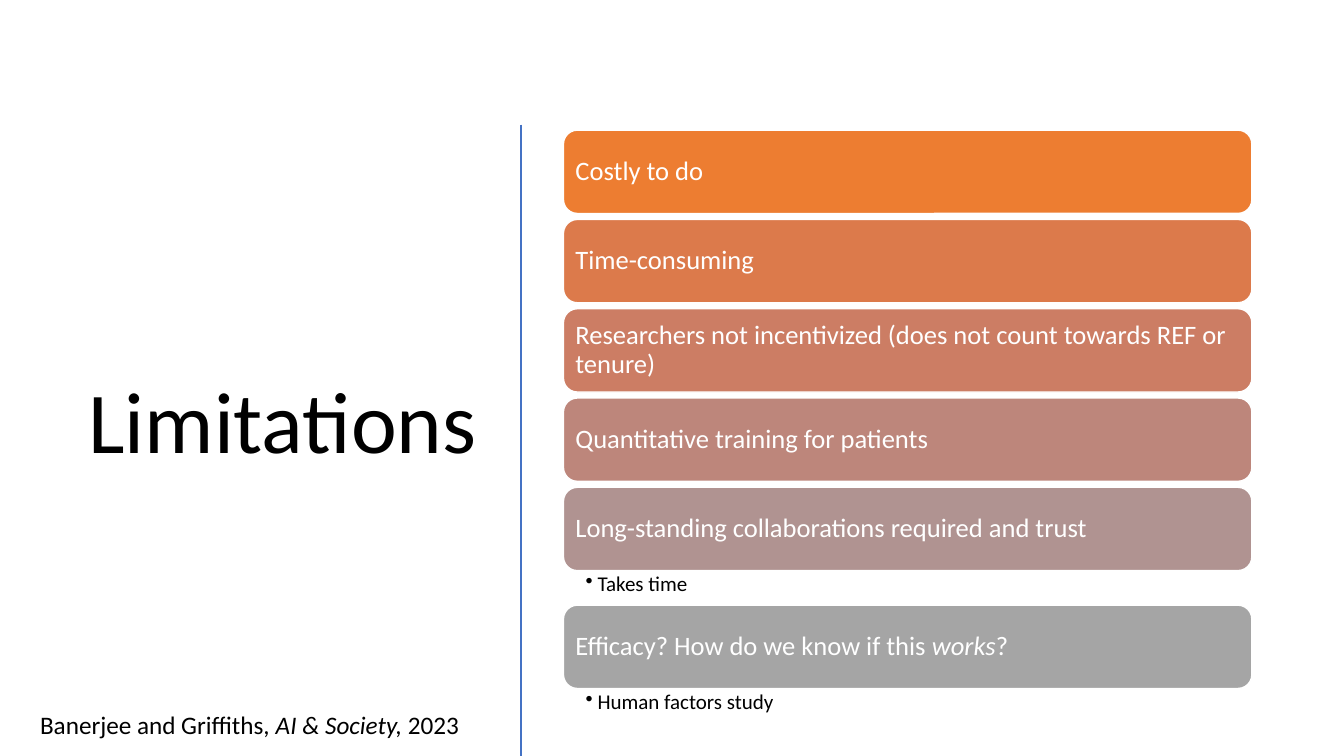
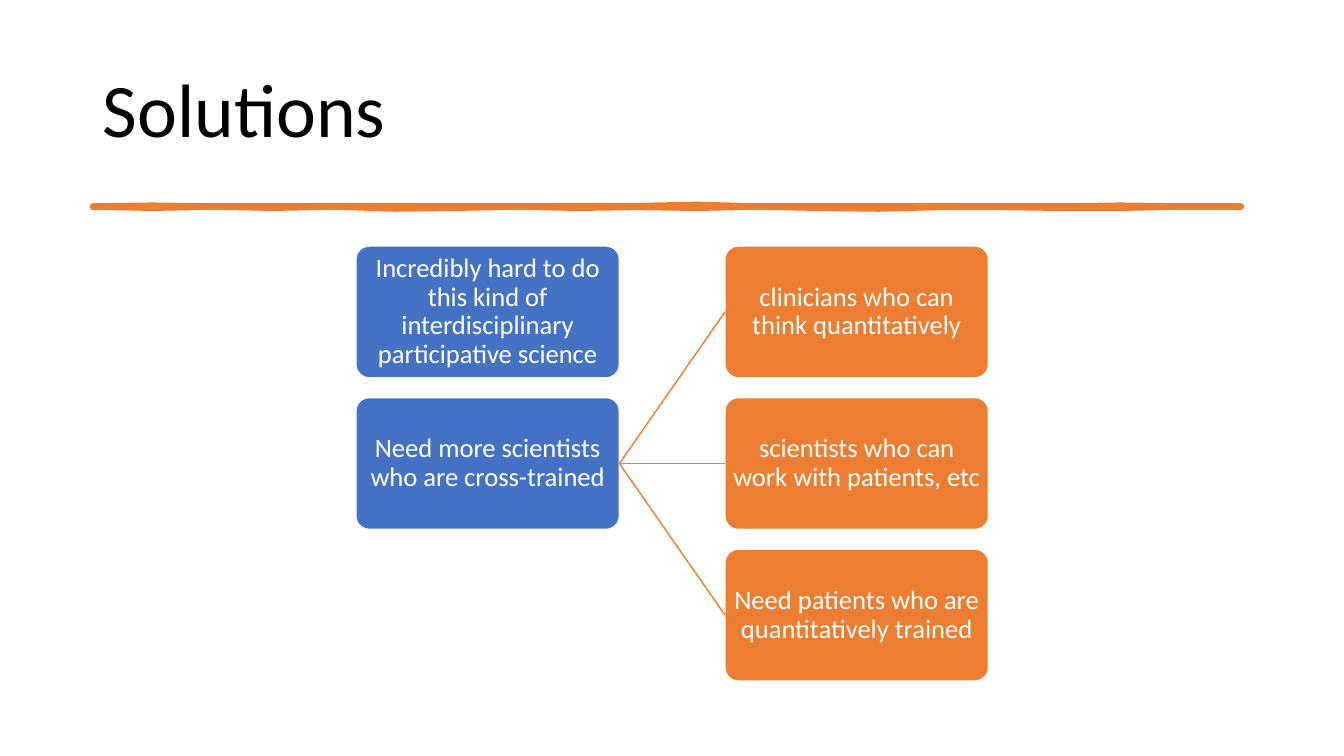
import pptx
import pptx.util
import pptx.dml.color
import pptx.enum.text
import pptx.enum.shapes
import pptx.oxml.ns
import lxml.etree

Cm = pptx.util.Cm
Pt = pptx.util.Pt
RGB = pptx.dml.color.RGBColor
Align = pptx.enum.text.PP_ALIGN
Anchor = pptx.enum.text.MSO_ANCHOR
Kind = pptx.enum.shapes.MSO_SHAPE

BLACK = RGB(0x00, 0x00, 0x00)
WHITE = RGB(0xFF, 0xFF, 0xFF)
BLUE = RGB(0x44, 0x72, 0xC4)
ORANGE = RGB(0xED, 0x7D, 0x31)
FADE = [ORANGE, RGB(0xDC, 0x7A, 0x4B), RGB(0xCC, 0x7D, 0x64),
        RGB(0xBD, 0x86, 0x7B), RGB(0xB0, 0x93, 0x91), RGB(0xA5, 0xA5, 0xA5)]

LIMITS = [
    ("Costly to do", None),
    ("Time-consuming", None),
    ("Researchers not incentivized (does not count towards REF or tenure)", None),
    ("Quantitative training for patients", None),
    ("Long-standing collaborations required and trust", "Takes time"),
    ("Efficacy? How do we know if this *works*?", "Human factors study"),
]
NEEDS = ["Incredibly hard to do this kind of interdisciplinary participative science",
         "Need more scientists who are cross-trained"]
PEOPLE = ["clinicians who can think quantitatively",
          "scientists who can work with patients, etc",
          "Need patients who are quantitatively trained"]

# Edges of the brush stroke, in hundredths of a centimetre
UPPER = [0, -2, 0, 0, -1, -1, 0, 0, -1, -1, -4, 0, 0, 0, -1, 0, 0, -2, 0, 0]
LOWER = [5, 8, 5, 8, 5, 10, 8, 5, 8, 6, 8, 5, 8, 10, 6, 6, 8, 8, 5, 5]


def put(item, values):
    for name, value in values.items():
        setattr(item, name, value)


def node(parent, tag, **attrs):
    return lxml.etree.SubElement(parent, pptx.oxml.ns.qn(tag), attrs)


class Deck:
    font = "Calibri"
    plain = {"word_wrap": True, "auto_size": pptx.enum.text.MSO_AUTO_SIZE.NONE}

    def __init__(self):
        self.file = pptx.Presentation()
        put(self.file, {"slide_width": Cm(33.87), "slide_height": Cm(19.05)})
        self.slide = None

    def say(self, frame, text, size, color=BLACK, align=Align.LEFT, space=0.9, **style):
        """Fill a frame with one paragraph; asterisks enclose italics."""
        put(frame, {**self.plain, **style})
        para = frame.paragraphs[0]
        put(para, {"alignment": align, "line_spacing": space})
        for index, part in enumerate(text.split("*")):
            run = para.add_run()
            run.text = part
            put(run.font, {"name": self.font, "size": Pt(size), "italic": index % 2 == 1})
            run.font.color.rgb = color
        return para

    def start(self, title, box, size, align=Align.LEFT):
        self.slide = self.file.slides.add_slide(self.file.slide_layouts[5])
        shape = self.slide.shapes.title
        put(shape, dict(zip(("left", "top", "width", "height"), map(Cm, box))))
        self.say(shape.text_frame, title, size, align=align,
                 vertical_anchor=Anchor.MIDDLE)

    def label(self, text, box, size, **style):
        shape = self.slide.shapes.add_textbox(*map(Cm, box))
        return self.say(shape.text_frame, text, size, **style)

    def note(self, text, box):
        para = self.label(text, box, 15, margin_left=Cm(0.56), margin_right=Cm(0.38),
                          margin_top=Cm(0.08), margin_bottom=Cm(0.08))
        props = para._p.get_or_add_pPr()
        for name, value in {"marL": Cm(0.3), "indent": -Cm(0.3)}.items():
            props.set(name, str(int(value)))
        node(props, "a:buChar", char="•")

    def card(self, text, box, fill, pad, curve=None, align=Align.LEFT):
        shape = self.slide.shapes.add_shape(Kind.ROUNDED_RECTANGLE, *map(Cm, box))
        if curve:
            shape.adjustments[0] = curve
        self.paint(shape, fill, WHITE, 1)
        sides = ("left", "right", "top", "bottom")
        self.say(shape.text_frame, text, 19, WHITE, align,
                 vertical_anchor=Anchor.MIDDLE,
                 **{f"margin_{side}": Cm(pad) for side in sides})
        return shape

    def paint(self, shape, fill, edge, width):
        shape.shadow.inherit = False
        shape.fill.solid()
        shape.fill.fore_color.rgb = fill
        self.trace(shape, edge, width)

    def trace(self, shape, color, width):
        shape.line.color.rgb = color
        shape.line.width = Pt(width)

    def rule(self, ends, color, width):
        line = self.slide.shapes.add_connector(
            pptx.enum.shapes.MSO_CONNECTOR.STRAIGHT, *map(Cm, ends))
        self.trace(line, color, width)
        node(line._element.spPr, "a:effectLst")
        return line

    def join(self, source, target):
        """Link the right side of one card to the left side of another."""
        line = self.rule((0, 0, 1, 1), ORANGE, 1)
        line.begin_connect(source, 3)
        line.end_connect(target, 1)

    def brush(self, left, top, width):
        """Draw an uneven stroke between the upper and lower edges."""
        step = width / (len(UPPER) - 1)
        upper, lower = [
            [(Cm(left + i * step), Cm(top + dy / 100)) for i, dy in enumerate(edge)]
            for edge in (UPPER, LOWER)]
        points = upper + lower[::-1]
        form = self.slide.shapes.build_freeform(*points[0])
        form.add_line_segments(points[1:], close=True)
        shape = form.convert_to_shape()
        self.paint(shape, ORANGE, ORANGE, 3.25)
        node(shape._element.spPr.find(pptx.oxml.ns.qn("a:ln")), "a:round")


def limits(deck):
    deck.start("Limitations", (1.32, 2.97, 10.95, 15.52), 62, Align.RIGHT)
    deck.rule((13.13, 3.14, 13.13, 19.05), BLUE, 2)
    left, top, width, height = 14.2, 3.28, 17.35, 2.1
    for (text, note), fill in zip(LIMITS, FADE):
        deck.card(text, (left, top, width, height), fill, 0.2)
        top += height
        if note:
            deck.note(note, (left, top, width, 0.87))
        top += 0.87 if note else 0.15
    deck.label("Banerjee and Griffiths*, AI & Society,* 2023",
               (0.76, 17.75, 12.37, 1.02), 18, space=1.0)


def answers(deck):
    deck.start("Solutions", (2.33, 1.01, 29.21, 3.68), 54)
    deck.brush(2.33, 5.18, 28.96)

    def stack(texts, left, fill):
        return [deck.card(text, (left, 6.2 + 3.82 * row, 6.64, 3.32), fill, 0.03,
                          0.1, Align.CENTER) for row, text in enumerate(texts)]

    needs = stack(NEEDS, 8.97, BLUE)
    for card in stack(PEOPLE, 18.27, ORANGE):
        deck.join(needs[-1], card)


def main():
    deck = Deck()
    limits(deck)
    answers(deck)
    deck.file.save("out.pptx")


if __name__ == "__main__":
    main()
